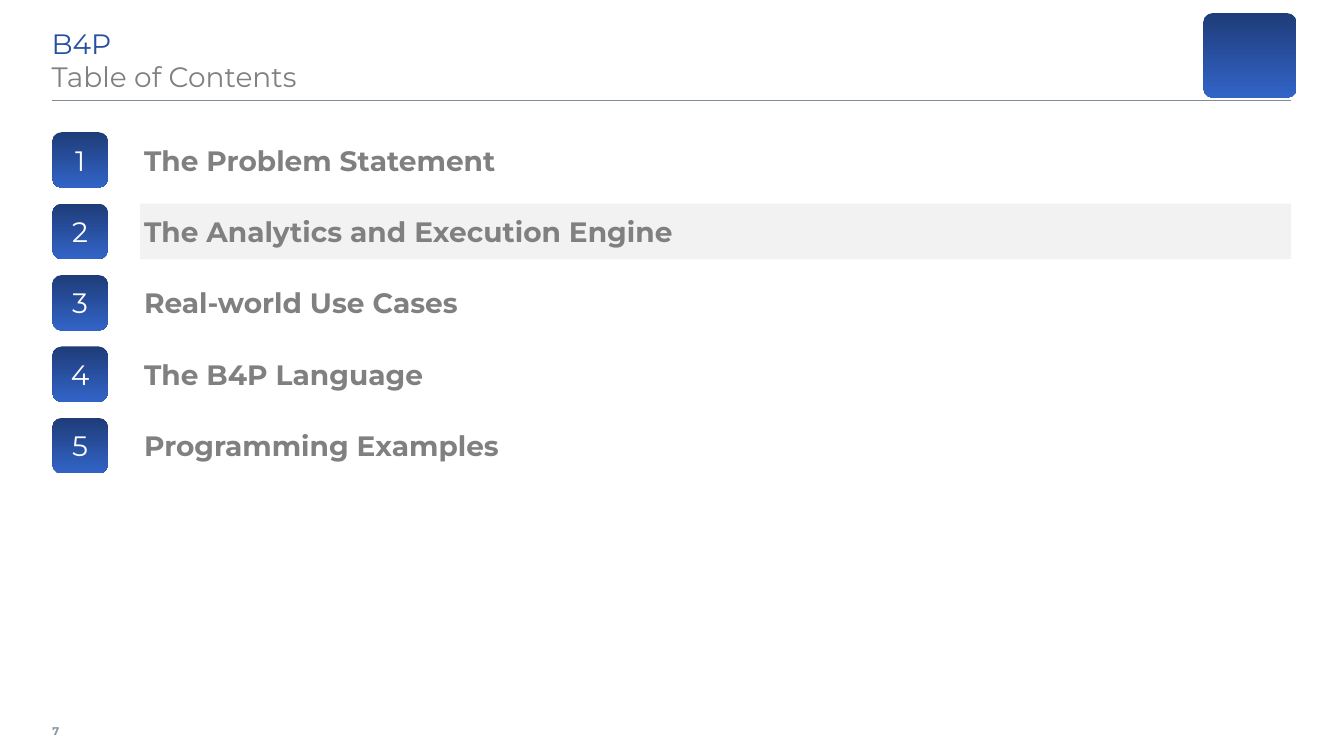
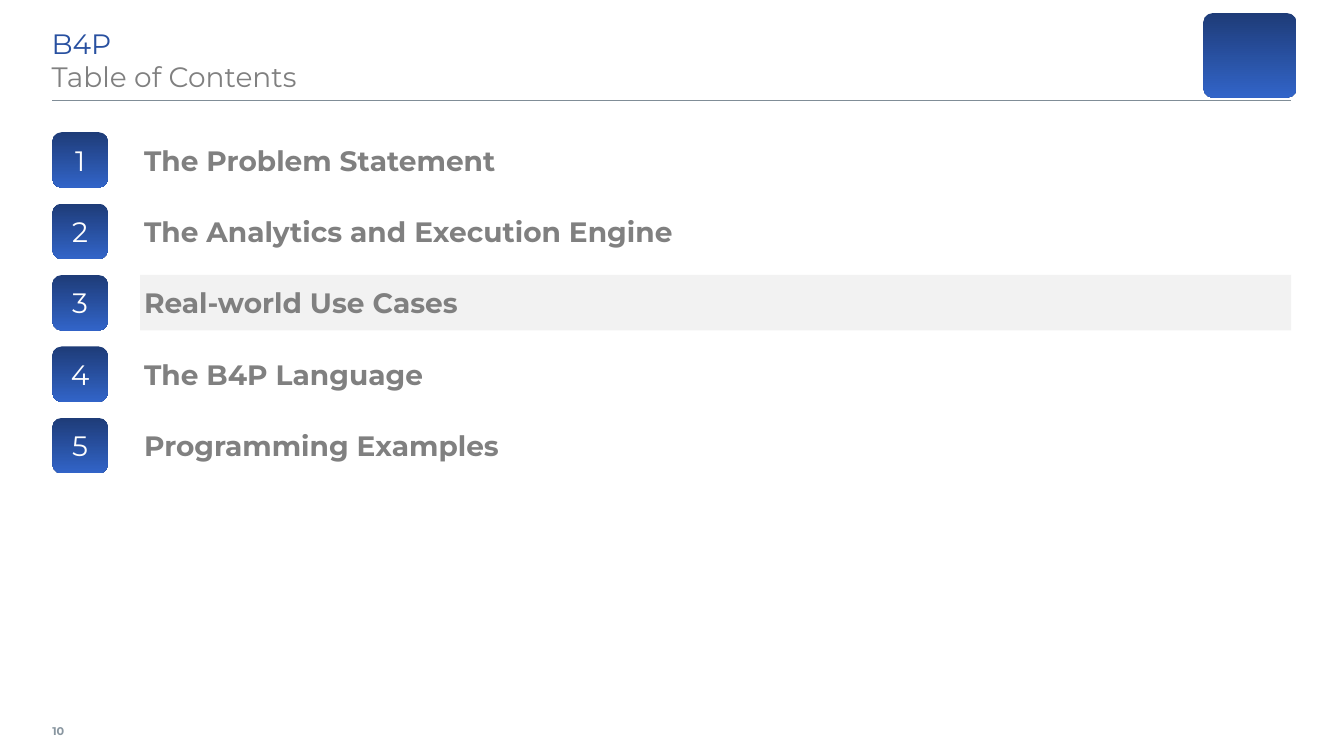
from dataclasses import dataclass

from lxml import etree
from pptx import Presentation
from pptx import util as u
from pptx.dml import color
from pptx.enum import shapes, text
from pptx.oxml import ns


def rgb(code):
    return color.RGBColor.from_string(code)


@dataclass(frozen=True)
class Theme:
    font: str = "Montserrat"
    blue: color.RGBColor = rgb("2850A0")
    dark: color.RGBColor = rgb("1E3C78")
    light: color.RGBColor = rgb("3264C8")
    gray: color.RGBColor = rgb("808080")
    pale: color.RGBColor = rgb("F2F2F2")
    white: color.RGBColor = rgb("FFFFFF")
    rule: color.RGBColor = rgb("808D97")
    page: color.RGBColor = rgb("8996A0")
    body: int = 20
    small: int = 8


LEFT, RIGHT = 1.32, 32.54
ROW_TOP, ROW_STEP, TILE = 3.33, 1.8, 1.4
LABEL = 3.53
TOPICS = [
    "The Problem Statement",
    "The Analytics and Execution Engine",
    "Real-world Use Cases",
    "The B4P Language",
    "Programming Examples",
]


class Deck:
    def __init__(self, theme):
        self.theme = theme
        self.prs = Presentation()
        self.prs.slide_width, self.prs.slide_height = u.Cm(33.87), u.Cm(19.05)

    def start(self, title, page):
        """Add a slide with its rule, page number, badge and title."""
        t = self.theme
        self.slide = self.prs.slides.add_slide(self.prs.slide_layouts[6])
        self.line(LEFT, RIGHT, 2.54)
        box = self.box(LEFT, 17.93, 1.2, 1)
        self.label(box, str(page), [t.page], t.small, True, (0, 0.13, 0.2, 0.13))
        self.tile(30.33, 0.33, 2.34, 2.13, 0.11)
        box = self.box(1.3, 0.53, 28.42, 2)
        self.label(box, title, [t.blue, t.gray], t.body,
                   pad=(0, 0.13, 0.25, 0.13), anchor=text.MSO_ANCHOR.TOP)

    def line(self, left, right, y):
        rule = self.slide.shapes.add_connector(
            shapes.MSO_CONNECTOR.STRAIGHT, u.Cm(left), u.Cm(y), u.Cm(right), u.Cm(y))
        rule.line.color.rgb = self.theme.rule
        rule.line.width = u.Pt(1)
        etree.SubElement(rule._element.spPr, ns.qn("a:effectLst"))

    def box(self, *place):
        return self.slide.shapes.add_textbox(*map(u.Cm, place))

    def shape(self, kind, *place):
        item = self.slide.shapes.add_shape(kind, *map(u.Cm, place))
        item.shadow.inherit = False
        item.line.fill.background()
        return item

    def band(self, *place):
        item = self.shape(shapes.MSO_SHAPE.RECTANGLE, *place)
        item.fill.solid()
        item.fill.fore_color.rgb = self.theme.pale
        return item

    def tile(self, left, top, width, height, curve=0.17):
        """Add a rounded tile that shades from dark to light blue."""
        item = self.shape(shapes.MSO_SHAPE.ROUNDED_RECTANGLE, left, top, width, height)
        item.adjustments[0] = curve
        item.fill.gradient()
        item.fill.gradient_angle = 270
        for stop, shade in zip(item.fill.gradient_stops,
                               (self.theme.dark, self.theme.light)):
            stop.color.rgb = shade
        return item

    def label(self, item, words, tints, size, bold=False, pad=(0.1,) * 4,
              align=text.PP_ALIGN.LEFT, anchor=text.MSO_ANCHOR.MIDDLE):
        """Set the text, with one colour for each of its lines."""
        frame = item.text_frame
        frame.word_wrap = True
        frame.vertical_anchor = anchor
        (frame.margin_left, frame.margin_top,
         frame.margin_right, frame.margin_bottom) = map(u.Cm, pad)
        para = frame.paragraphs[0]
        para.text = words
        para.alignment = align
        for run, tint in zip(para.runs, tints):
            run.font.name = self.theme.font
            run.font.size = u.Pt(size)
            run.font.bold = bold
            run.font.color.rgb = tint

    def topics(self, names, active):
        """List numbered topics, with a band behind the active one."""
        t = self.theme
        for num, name in enumerate(names, 1):
            top = ROW_TOP + (num - 1) * ROW_STEP
            make = self.band if num == active else self.box
            topic = make(LABEL, top, RIGHT - LABEL, TILE)
            self.label(topic, name, [t.gray], t.body, True)
            tile = self.tile(LEFT, top, TILE, TILE)
            self.label(tile, str(num), [t.white], t.body, align=text.PP_ALIGN.CENTER)


def main():
    deck = Deck(Theme())
    for page, active in ((7, 2), (10, 3)):
        deck.start("B4P\vTable of Contents", page)
        deck.topics(TOPICS, active)
    deck.prs.save("out.pptx")


if __name__ == "__main__":
    main()
